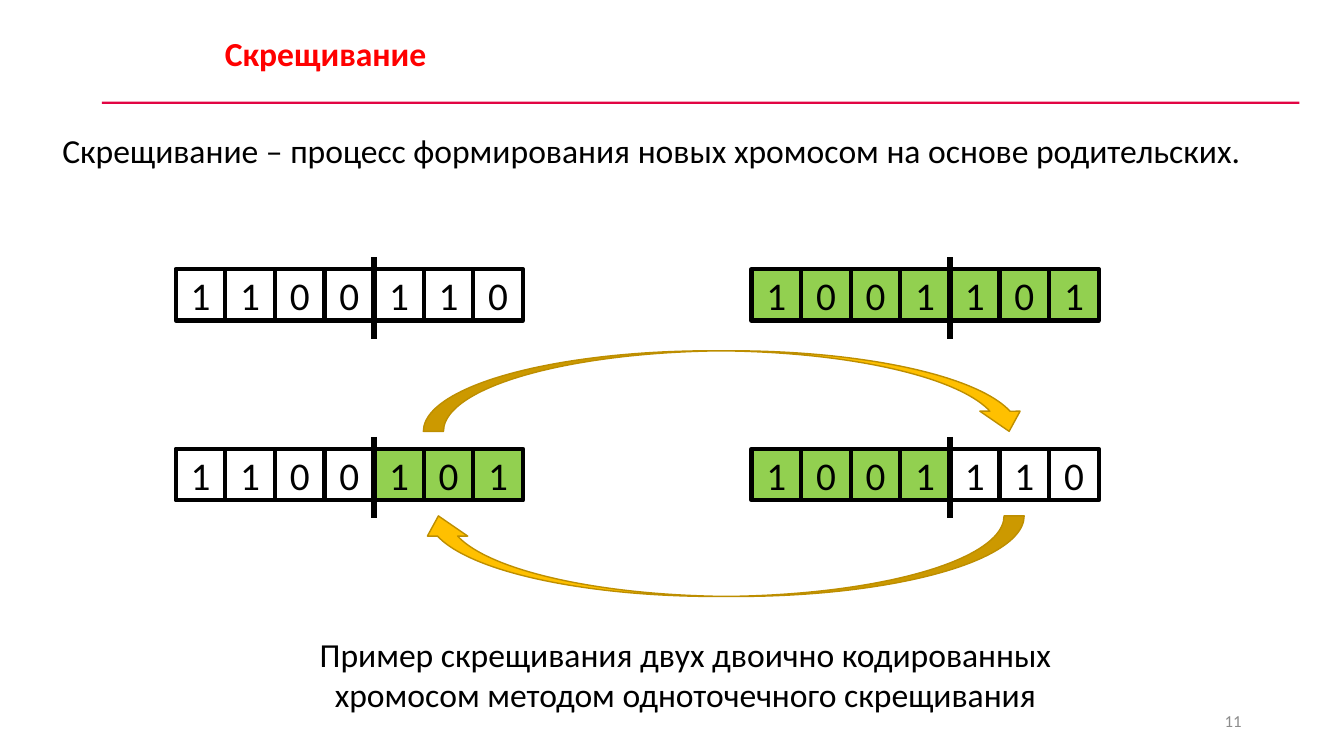
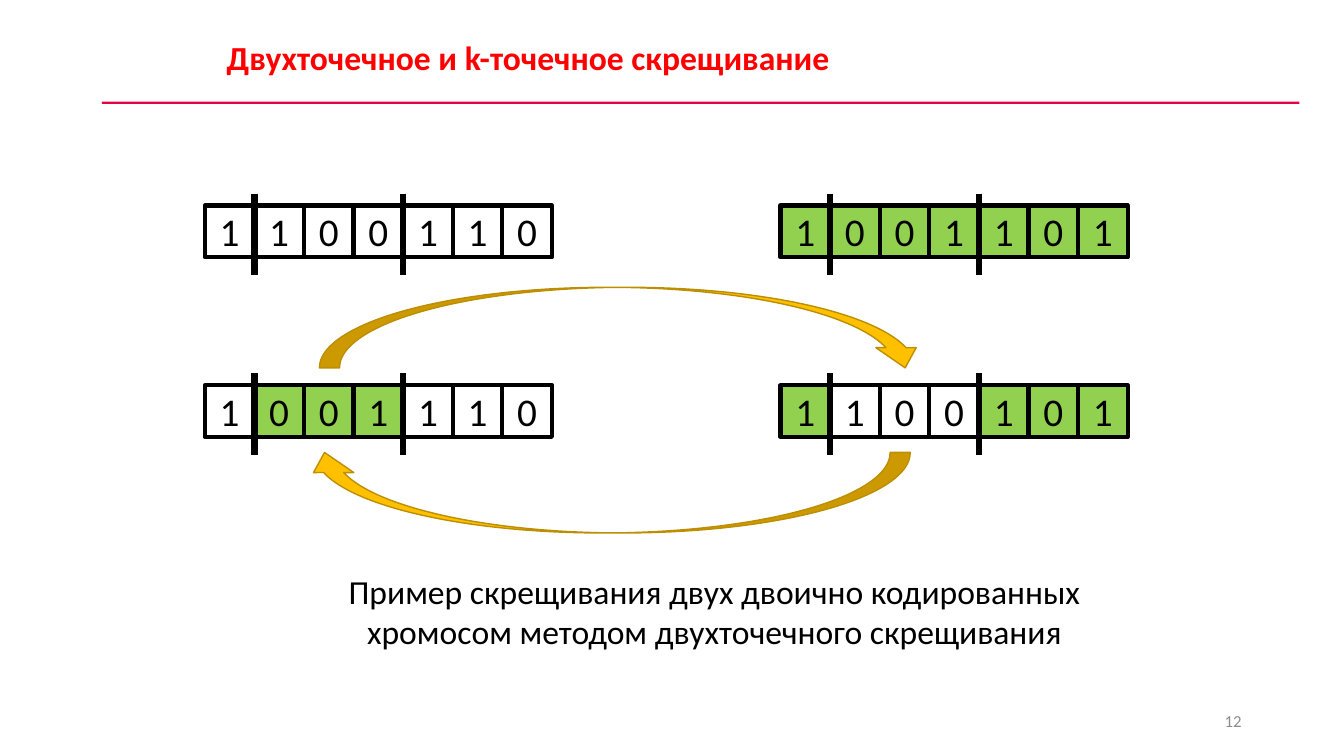
from dataclasses import dataclass

from lxml.etree import SubElement
from pptx import Presentation
from pptx.dml.color import RGBColor
from pptx.enum.shapes import MSO_CONNECTOR, MSO_SHAPE
from pptx.enum.text import MSO_ANCHOR, MSO_AUTO_SIZE, PP_ALIGN
from pptx.oxml.ns import qn
from pptx.util import Cm, Pt


@dataclass(frozen=True)
class Theme:
    font: str = "Calibri"
    title: str = "FF0000"
    rule: str = "E20443"
    ink: str = "000000"
    muted: str = "8C8C8C"
    first_parent: str = "FFFFFF"
    second_parent: str = "92D050"
    arrow: str = "FFC000"
    arrow_edge: str = "BD8E00"
    text_size: int = 24
    gene_size: int = 28
    number_size: int = 12


THEME = Theme()
FIRST = [(bit, THEME.first_parent) for bit in "1100110"]
SECOND = [(bit, THEME.second_parent) for bit in "1001101"]
GENE_W, GENE_H = 1.25, 1.3
PAIR_DX, CHILD_DY = 14.51, 4.53
CUT_RISE, CUT_H = 0.3, 2.05
ARROW_W, ARROW_H = 15.27, 2.03


def rgb(value):
    return RGBColor.from_string(value)


def write(tf, text, size, color=THEME.ink, align=PP_ALIGN.LEFT, bold=False,
          anchor=MSO_ANCHOR.TOP):
    tf.word_wrap = True
    tf.auto_size = MSO_AUTO_SIZE.NONE
    tf.vertical_anchor = anchor
    p = tf.paragraphs[0]
    p.alignment = align
    r = p.add_run()
    r.text = text
    r.font.name = THEME.font
    r.font.size = Pt(size)
    r.font.bold = bold
    r.font.color.rgb = rgb(color)


def add_label(s, box, text, size=THEME.text_size, **style):
    sp = s.shapes.add_textbox(*map(Cm, box))
    write(sp.text_frame, text, size, **style)


def add_block(s, kind, box, fill, edge=None, width=1):
    sp = s.shapes.add_shape(kind, *map(Cm, box))
    sp.shadow.inherit = False
    sp.fill.solid()
    sp.fill.fore_color.rgb = rgb(fill)
    if edge:
        sp.line.color.rgb = rgb(edge)
        sp.line.width = Pt(width)
    else:
        sp.line.fill.background()
    return sp


def add_cut(s, x, y):
    line = s.shapes.add_connector(MSO_CONNECTOR.STRAIGHT, Cm(x), Cm(y), Cm(x), Cm(y + CUT_H))
    line.line.color.rgb = rgb(THEME.ink)
    line.line.width = Pt(4.5)
    SubElement(line.element.spPr, qn("a:effectLst"))


def add_chromosome(s, x, y, genes, cuts):
    for i, (bit, fill) in enumerate(genes):
        box = (x + i * GENE_W, y, GENE_W, GENE_H)
        sp = add_block(s, MSO_SHAPE.RECTANGLE, box, fill, THEME.ink, 3)
        write(sp.text_frame, bit, THEME.gene_size, align=PP_ALIGN.CENTER,
              anchor=MSO_ANCHOR.MIDDLE)
    for cut in cuts:
        add_cut(s, x + cut * GENE_W, y - CUT_RISE)


def add_swap_arrow(s, x, y, rotation=0):
    sp = add_block(s, MSO_SHAPE.CURVED_DOWN_ARROW, (x, y, ARROW_W, ARROW_H),
                   THEME.arrow, THEME.arrow_edge)
    sp.rotation = rotation


def cross(own, other, cuts):
    return [b if sum(cut <= i for cut in cuts) % 2 else a
            for i, (a, b) in enumerate(zip(own, other))]


def add_crossover(s, x, y, cuts, arrow_xs, caption):
    rows = ((FIRST, SECOND), (cross(FIRST, SECOND, cuts), cross(SECOND, FIRST, cuts)))
    for row, pair in enumerate(rows):
        for col, genes in enumerate(pair):
            add_chromosome(s, x + col * PAIR_DX, y + row * CHILD_DY, genes, cuts)
    add_swap_arrow(s, arrow_xs[0], y + 2.06)
    add_swap_arrow(s, arrow_xs[1], y + 6.22, 180)
    add_label(s, (x + 2.9, y + 9.07, 19.89, 2.31), caption, align=PP_ALIGN.CENTER)


def add_slide(prs, title, title_at, number):
    s = prs.slides.add_slide(prs.slide_layouts[5])
    sp = s.shapes.title
    sp.left, sp.top = map(Cm, title_at)
    sp.width, sp.height = Cm(23.44), Cm(1.27)
    write(sp.text_frame, title, THEME.text_size, THEME.title, bold=True)
    add_block(s, MSO_SHAPE.RECTANGLE, (2.57, 2.56, 30.18, 0.06), THEME.rule)
    add_label(s, (23.92, 17.66, 7.62, 1.01), number, THEME.number_size,
              color=THEME.muted, align=PP_ALIGN.RIGHT, anchor=MSO_ANCHOR.MIDDLE)
    return s


def main():
    prs = Presentation()
    prs.slide_width, prs.slide_height = Cm(33.87), Cm(19.05)

    s = add_slide(prs, "Скрещивание", (5.41, 0.71), "11")
    add_label(s, (1.32, 3.15, 31.45, 2.13),
              "Скрещивание – процесс формирования новых хромосом на основе родительских.",
              align=PP_ALIGN.JUSTIFY)
    add_crossover(s, 4.43, 6.78, (4,), (10.67, 10.54),
                  "Пример скрещивания двух двоично кодированных "
                  "хромосом методом одноточечного скрещивания")

    s = add_slide(prs, "Двухточечное и k-точечное скрещивание", (5.46, 0.81), "12")
    add_crossover(s, 5.16, 5.18, (1, 4), (8.05, 7.67),
                  "Пример скрещивания двух двоично кодированных "
                  "хромосом методом двухточечного скрещивания")

    prs.save("out.pptx")


if __name__ == "__main__":
    main()
